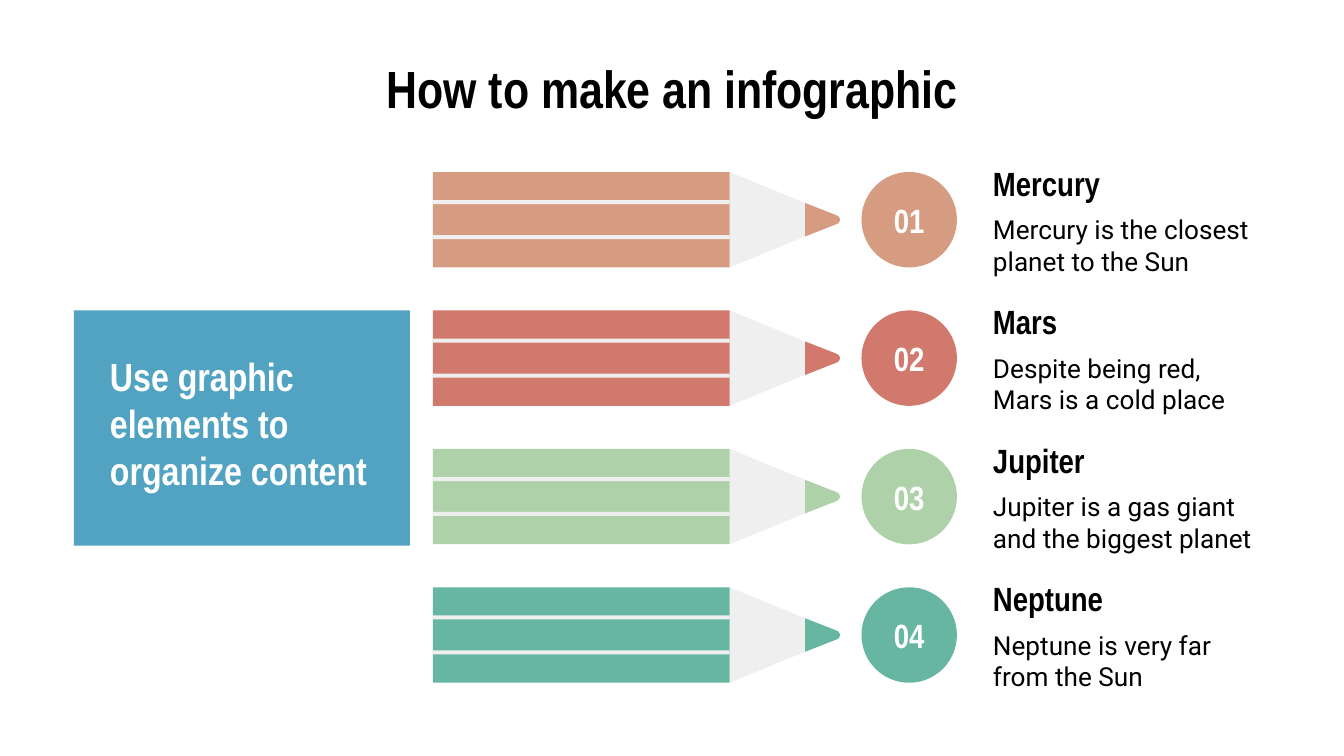
from pptx import Presentation
from pptx.dml.color import RGBColor
from pptx.enum.shapes import MSO_SHAPE as Preset
from pptx.enum.text import MSO_ANCHOR as Anchor, PP_ALIGN as Align
from pptx.util import Inches, Pt

TITLE = "How to make an infographic"
CALLOUT = "Use graphic elements to organize content"
PLANETS = [
    ("01", "Mercury", "Mercury is the closest planet to the Sun", "clay"),
    ("02", "Mars", "Despite being red, Mars is a cold place", "red"),
    ("03", "Jupiter", "Jupiter is a gas giant and the biggest planet", "green"),
    ("04", "Neptune", "Neptune is very far from the Sun", "teal"),
]
COLORS = {
    "black": "000000", "white": "FFFFFF", "wood": "EFEFEF", "blue": "51A3C1",
    "clay": "D59C81", "red": "D0796C", "green": "AFD1AA", "teal": "66B6A1",
}
HEADING_FONT, BODY_FONT = "Arial Narrow", "Roboto"

SLIDE_WIDTH = 10
SLIDE_HEIGHT = SLIDE_WIDTH * 9 / 16
FIRST_ROW, ROW_PITCH, ROW_HEIGHT = 1.28, 1.03, 0.71
BODY_LEFT, BODY_WIDTH = 3.22, 2.21
STRIPE_HEIGHT, STRIPE_INSET = 0.03, 0.21
STRIPES = (STRIPE_INSET, ROW_HEIGHT - STRIPE_INSET - STRIPE_HEIGHT)
CONE = [(5.43, 0), (5.99, 0.23), (5.99, 0.48), (5.43, ROW_HEIGHT)]
TIP = [(5.99, 0.23), (6.22, 0.32), (6.24, 0.33), (6.25, 0.35),
       (6.25, 0.36), (6.24, 0.38), (6.22, 0.39), (5.99, 0.48)]
BADGE_LEFT, TEXT_LEFT, TEXT_WIDTH = 6.41, 7.29, 2.16


def paint(shape, color):
    shape.shadow.inherit = False
    shape.fill.solid()
    shape.fill.fore_color.rgb = RGBColor.from_string(COLORS[color])
    shape.line.fill.background()


def add_block(shapes, preset, box, color):
    block = shapes.add_shape(preset, *map(Inches, box))
    paint(block, color)
    return block


def add_outline(shapes, points, top, color):
    corners = [(Inches(x), Inches(top + y)) for x, y in points]
    builder = shapes.build_freeform(*corners[0], scale=1.0)
    builder.add_line_segments(corners[1:], close=True)
    paint(builder.convert_to_shape(), color)


def write(holder, text, *, size, font=HEADING_FONT, color="black", bold=True,
          align=Align.LEFT):
    frame = holder.text_frame
    frame.word_wrap = True
    frame.vertical_anchor = Anchor.MIDDLE
    frame.margin_left = frame.margin_right = Inches(0.1)
    frame.margin_top = frame.margin_bottom = Inches(0.1)
    paragraph = frame.paragraphs[0]
    paragraph.alignment = align
    run = paragraph.add_run()
    run.text = text
    run.font.size, run.font.name, run.font.bold = Pt(size), font, bold
    run.font.color.rgb = RGBColor.from_string(COLORS[color])


def add_text(shapes, box, text, **style):
    write(shapes.add_textbox(*map(Inches, box)), text, **style)


def add_pencil(slide, top, color):
    pencil = slide.shapes.add_group_shape().shapes
    add_outline(pencil, TIP, top, color)
    add_outline(pencil, CONE, top, "wood")
    add_block(pencil, Preset.RECTANGLE,
              (BODY_LEFT, top, BODY_WIDTH, ROW_HEIGHT), color)
    for offset in STRIPES:
        add_block(pencil, Preset.RECTANGLE,
                  (BODY_LEFT, top + offset, BODY_WIDTH, STRIPE_HEIGHT), "wood")


def add_planet(slide, top, number, name, fact, color):
    planet = slide.shapes.add_group_shape().shapes
    add_text(planet, (TEXT_LEFT, top - 0.1, TEXT_WIDTH, 0.36), name, size=18)
    add_text(planet, (TEXT_LEFT, top + 0.28, TEXT_WIDTH, 0.53), fact,
             size=14, font=BODY_FONT, bold=False)
    badge = add_block(planet, Preset.OVAL,
                      (BADGE_LEFT, top, ROW_HEIGHT, ROW_HEIGHT), color)
    write(badge, number, size=18, color="white", align=Align.CENTER)


def main():
    """Build the planet pencil infographic slide."""
    deck = Presentation()
    deck.slide_width, deck.slide_height = Inches(SLIDE_WIDTH), Inches(SLIDE_HEIGHT)
    slide = deck.slides.add_slide(deck.slide_layouts[5])

    title = slide.shapes.title
    title.left, title.top = Inches(0.5), Inches(0.45)
    title.width, title.height = Inches(9), Inches(0.41)
    write(title, TITLE, size=28, align=Align.CENTER)

    add_block(slide.shapes, Preset.RECTANGLE, (0.55, 2.31, 2.5, 1.75), "blue")
    add_text(slide.shapes, (0.72, 2.52, 2.16, 1.25), CALLOUT,
             size=21, color="white")

    for row, (number, name, fact, color) in enumerate(PLANETS):
        top = FIRST_ROW + row * ROW_PITCH
        add_pencil(slide, top, color)
        add_planet(slide, top, number, name, fact, color)

    deck.save("out.pptx")


if __name__ == "__main__":
    main()
